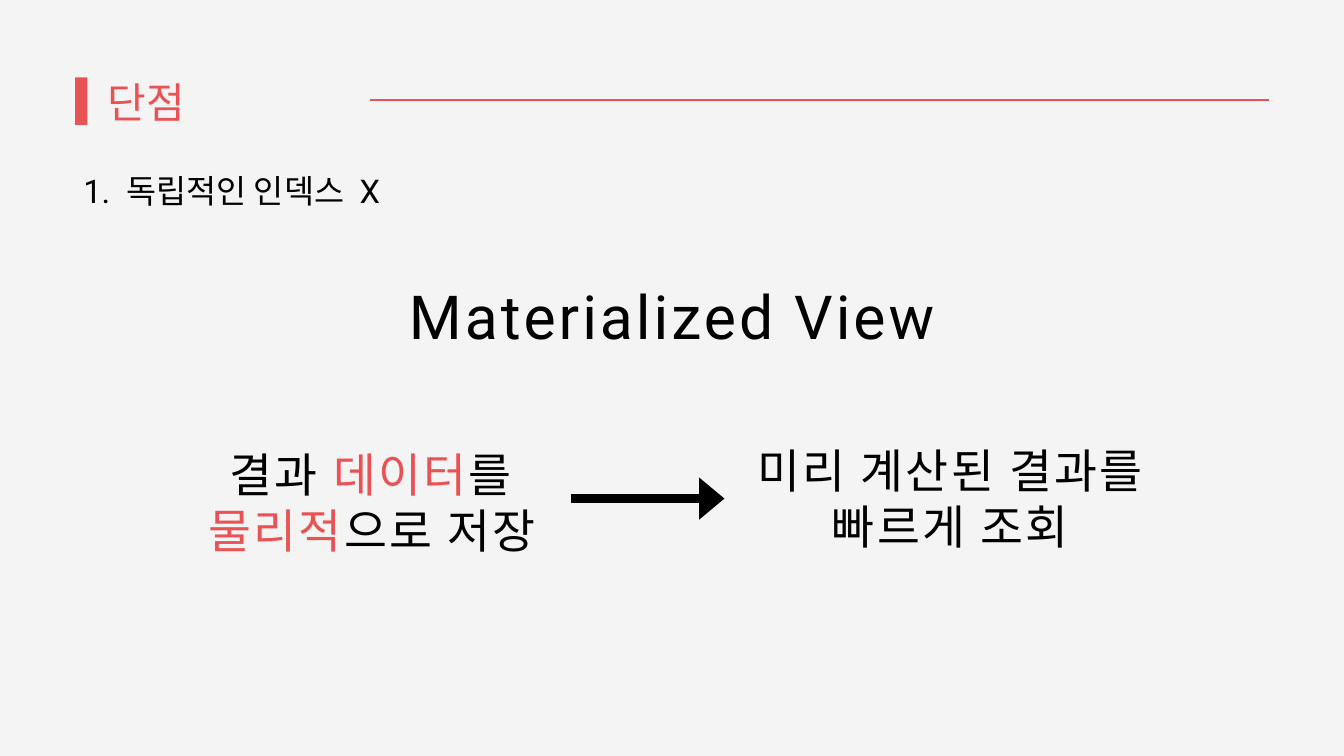
from dataclasses import dataclass

from lxml.etree import SubElement
from pptx import Presentation
from pptx.dml.color import RGBColor
from pptx.enum.shapes import MSO_CONNECTOR, MSO_SHAPE
from pptx.enum.text import MSO_AUTO_SIZE, PP_ALIGN
from pptx.oxml.ns import qn
from pptx.util import Pt

PAPER = RGBColor(0xF4, 0xF4, 0xF4)
CORAL = RGBColor(0xEA, 0x53, 0x55)
BLACK = RGBColor(0x00, 0x00, 0x00)
FONT = "Roboto"


@dataclass(frozen=True)
class Span:
    text: str
    color: RGBColor = BLACK
    tracking: float | None = None  # overrides the block's letter spacing


@dataclass(frozen=True)
class TextBlock:
    left: float
    top: float
    width: float
    height: float
    size: float
    leading: float
    lines: tuple[tuple[Span, ...], ...]
    tracking: float = 0
    align: PP_ALIGN = PP_ALIGN.LEFT


@dataclass(frozen=True)
class Rule:
    start: float
    end: float
    y: float
    weight: float
    color: RGBColor
    arrow: bool = False


def draw_text(slide, block: TextBlock) -> None:
    box = slide.shapes.add_textbox(
        Pt(block.left), Pt(block.top), Pt(block.width), Pt(block.height))
    frame = box.text_frame
    frame.margin_left = frame.margin_right = frame.margin_top = frame.margin_bottom = 0
    frame.word_wrap = True
    frame.auto_size = MSO_AUTO_SIZE.SHAPE_TO_FIT_TEXT
    for index, spans in enumerate(block.lines):
        paragraph = frame.add_paragraph() if index else frame.paragraphs[0]
        paragraph.alignment = block.align
        paragraph.line_spacing = Pt(block.leading)
        for span in spans:
            run = paragraph.add_run()
            run.text = span.text
            run.font.name = FONT
            run.font.size = Pt(block.size)
            run.font.color.rgb = span.color
            tracking = block.tracking if span.tracking is None else span.tracking
            if tracking:
                run.font._element.set("spc", str(round(tracking * 100)))


def draw_rule(slide, rule: Rule) -> None:
    connector = slide.shapes.add_connector(
        MSO_CONNECTOR.STRAIGHT, Pt(rule.start), Pt(rule.y), Pt(rule.end), Pt(rule.y))
    connector.line.color.rgb = rule.color
    connector.line.width = Pt(rule.weight)
    if rule.arrow:
        SubElement(connector.line._get_or_add_ln(), qn("a:tailEnd"),
                   type="triangle", w="lg", len="med")
    SubElement(connector._element.spPr, qn("a:effectLst"))


def draw_marker(slide, left: float, top: float, width: float, height: float) -> None:
    marker = slide.shapes.add_shape(
        MSO_SHAPE.RECTANGLE, Pt(left), Pt(top), Pt(width), Pt(height))
    marker.shadow.inherit = False
    marker.fill.solid()
    marker.fill.fore_color.rgb = CORAL
    marker.line.fill.background()


WIDE_SPACE = Span(" ", tracking=8.5)

# Heading and numbered point
HEADING = TextBlock(115.2, 77.8, 379.4, 56.9, 45, 58.5, ((Span("단점", CORAL),),))
POINT = TextBlock(
    89.3, 180, 583.9, 43.9, 35, 45.5,
    ((Span("1."), WIDE_SPACE, Span("독립적인 인덱스"), WIDE_SPACE, Span("X")),))

# Concept, and the cause and effect below it
CONCEPT = TextBlock(402.5, 298.8, 635, 76.3, 65, 78,
                    ((Span("Materialized View"),),), 3.2, PP_ALIGN.CENTER)
CAUSE = TextBlock(
    217.4, 478, 362.2, 121, 50, 60,
    ((Span("결과 "), Span("데이터", CORAL), Span("를 "),
      Span("물리적", CORAL), Span("으로 저장")),),
    2.5, PP_ALIGN.CENTER)
EFFECT = TextBlock(
    808.6, 473, 419, 121, 50, 60,
    ((Span("미리 계산된 결과를"),), (Span("빠르게 조회"),)),
    2.5, PP_ALIGN.CENTER)

HEADING_RULE = Rule(396.7, 1359.4, 107.3, 1.5, CORAL)
CAUSE_TO_EFFECT = Rule(612, 776.2, 534.2, 9, BLACK, arrow=True)


def main() -> None:
    deck = Presentation()
    deck.slide_width, deck.slide_height = Pt(1440), Pt(810)
    slide = deck.slides.add_slide(deck.slide_layouts[6])
    slide.background.fill.solid()
    slide.background.fill.fore_color.rgb = PAPER

    # Header
    draw_marker(slide, 80.6, 82.8, 13, 51)
    draw_text(slide, HEADING)
    draw_rule(slide, HEADING_RULE)

    # Body
    for block in (POINT, CONCEPT, CAUSE, EFFECT):
        draw_text(slide, block)
    draw_rule(slide, CAUSE_TO_EFFECT)

    deck.save("out.pptx")


if __name__ == "__main__":
    main()
